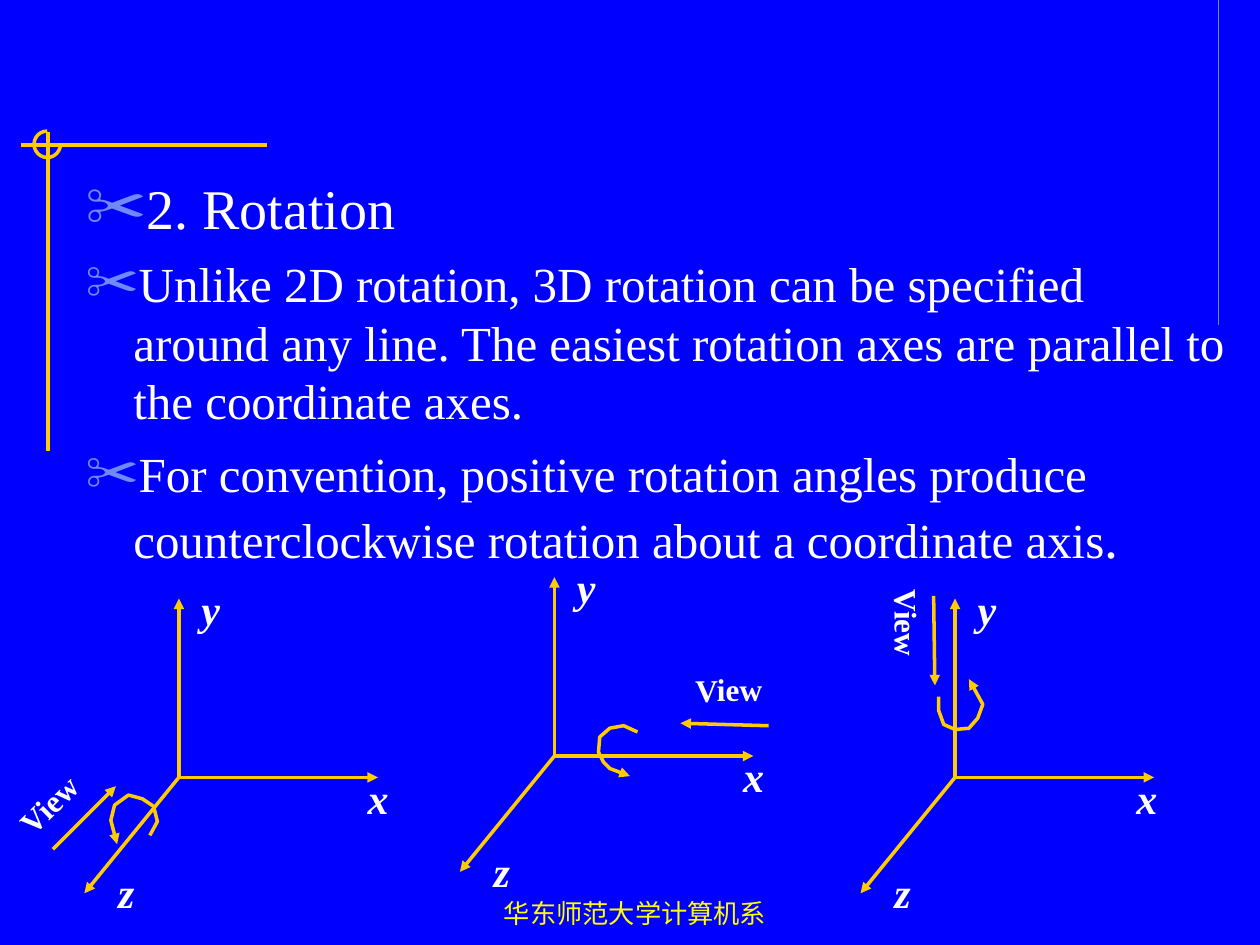
from lxml import etree
from pptx import Presentation
from pptx import util as u
from pptx.dml.color import RGBColor
from pptx.enum import shapes, text
from pptx.oxml.ns import qn

GOLD, WHITE, PALE_BLUE = "FFCC00", "FFFFFF", "6F89F7"
SERIF = "Times New Roman"
ORIGINS = [(1.42, 6.17), (4.4, 6), (7.58, 6.17)]
AXIS_ARMS = [(1.58, 0), (0, -1.42), (-0.75, 0.92)]
VIEW_SIZE = (0.8, 0.4)


def color(hex_code):
    return RGBColor.from_string(hex_code)


def inches(*lengths):
    return [u.Inches(length) for length in lengths]


def style_line(shape, hex_code=GOLD, width=2, arrow=False):
    shape.line.color.rgb = color(hex_code)
    shape.line.width = u.Pt(width)
    properties = shape._element.spPr
    if arrow:
        etree.SubElement(properties.find(qn("a:ln")), qn("a:tailEnd"), type="triangle")
    etree.SubElement(properties, qn("a:effectLst"))


def add_line(slide, start, end, **style):
    line = slide.shapes.add_connector(
        shapes.MSO_CONNECTOR.STRAIGHT, *inches(*start, *end))
    style_line(line, **style)


def add_turn_arrow(slide, points):
    """Draw an open polyline that ends in an arrowhead."""
    start, *bends = [inches(*point) for point in points]
    builder = slide.shapes.build_freeform(*start)
    builder.add_line_segments(bends, close=False)
    turn = builder.convert_to_shape()
    turn.fill.background()
    style_line(turn, arrow=True)


def add_run(paragraph, words, size, hex_code=WHITE, font=SERIF, bold=None, italic=None):
    run = paragraph.add_run()
    run.text = words
    run.font.size = u.Pt(size)
    run.font.name = font
    run.font.bold = bold
    run.font.italic = italic
    run.font.color.rgb = color(hex_code)


def add_label(slide, corner, size, words, points, rotation=0, **font):
    label = slide.shapes.add_textbox(*inches(*corner, *size))
    label.rotation = rotation
    label.text_frame.word_wrap = False
    add_run(label.text_frame.paragraphs[0], words, points, bold=True, **font)


def add_axes(slide, origin, x_label_shift):
    x, y = origin
    for dx, dy in AXIS_ARMS:
        add_line(slide, origin, (x + dx, y + dy), arrow=True)
    labels = [("x", x_label_shift, -0.09, 0.36),
              ("y", 0.08, -1.59, 0.35),
              ("z", -0.58, 0.66, 0.33)]
    for name, dx, dy, width in labels:
        add_label(slide, (x + dx, y + dy), (width, 0.5), name, 24, italic=True)


def add_ornament(slide):
    add_line(slide, (9.67, 0), (9.67, 2.58), hex_code=PALE_BLUE, width=0.75)
    add_line(slide, (2.12, 1.15), (0.17, 1.15))
    add_line(slide, (0.38, 1.05), (0.38, 3.58))
    ring = slide.shapes.add_shape(
        shapes.MSO_SHAPE.ARC, *inches(0.27, 1.04, 0.21, 0.21))
    # Angles count in 1/60000 degree, scaled by 100000: 162 is 270 degrees.
    ring.adjustments[0], ring.adjustments[1] = 0, 162
    ring.fill.background()
    style_line(ring)


def set_bullet(paragraph):
    properties = paragraph._p.get_or_add_pPr()
    properties.set("marL", str(u.Inches(0.38)))
    properties.set("indent", str(u.Inches(-0.38)))
    bullet_color = etree.SubElement(properties, qn("a:buClr"))
    etree.SubElement(bullet_color, qn("a:srgbClr"), val=PALE_BLUE)
    etree.SubElement(properties, qn("a:buSzPct"), val="110000")
    etree.SubElement(properties, qn("a:buFont"), typeface=SERIF)
    etree.SubElement(properties, qn("a:buChar"), char="✂")


def add_body(slide):
    items = [
        (8, [("2. Rotation", 32)]),
        (7, [("Unlike 2D rotation, 3D rotation can be specified around any line. "
              "The easiest rotation axes are parallel to the coordinate axes.", 28)]),
        (8, [("For convention, positive rotation angles produce counterclockwise "
              "rotation about a coordinate axis", 28), (".", 32)]),
    ]
    frame = slide.shapes.add_textbox(*inches(0.58, 1.33, 9.25, 5.25)).text_frame
    frame.word_wrap = True
    for index, (space, runs) in enumerate(items):
        paragraph = frame.add_paragraph() if index else frame.paragraphs[0]
        paragraph.space_before = u.Pt(space)
        set_bullet(paragraph)
        for words, size in runs:
            add_run(paragraph, words, size)


def add_footer(slide):
    frame = slide.shapes.add_textbox(*inches(3, 6.92, 4.08, 0.5)).text_frame
    frame.word_wrap = True
    frame.vertical_anchor = text.MSO_ANCHOR.BOTTOM
    paragraph = frame.paragraphs[0]
    paragraph.alignment = text.PP_ALIGN.CENTER
    add_run(paragraph, "华东师范大学计算机系", 15, "FFFF00", "Roboto")


def main():
    deck = Presentation()
    deck.slide_width, deck.slide_height = inches(10, 7.5)
    slide = deck.slides.add_slide(deck.slide_layouts[6])
    slide.background.fill.solid()
    slide.background.fill.fore_color.rgb = color("0000FF")

    add_ornament(slide)
    add_footer(slide)
    add_body(slide)
    for origin, x_label_shift in zip(ORIGINS, (1.4, 1.4, 1.34)):
        add_axes(slide, origin, x_label_shift)

    turns = [
        [(1.19, 6.63), (1.25, 6.52), (1.22, 6.4), (1.13, 6.34),
         (1.02, 6.31), (0.91, 6.39), (0.88, 6.51), (0.93, 6.7)],
        [(5.06, 5.81), (4.95, 5.76), (4.84, 5.78), (4.76, 5.85),
         (4.75, 5.97), (4.79, 6.05), (4.84, 6.1), (5, 6.16)],
        [(7.45, 5.53), (7.45, 5.64), (7.49, 5.75), (7.58, 5.79),
         (7.69, 5.78), (7.76, 5.7), (7.8, 5.59), (7.69, 5.39)],
    ]
    views = [
        ((0.42, 6.74), (0.92, 6.24), (0.01, 6.16), 315.6),
        ((6.1, 5.76), (5.4, 5.74), (5.42, 5.27), 359.5),
        ((7.41, 4.73), (7.42, 5.44), (6.8, 4.78), 89.6),
    ]
    for turn, (start, end, corner, rotation) in zip(turns, views):
        add_turn_arrow(slide, turn)
        add_line(slide, start, end, arrow=True)
        add_label(slide, corner, VIEW_SIZE, "View", 18, rotation)

    deck.save("out.pptx")


if __name__ == "__main__":
    main()
